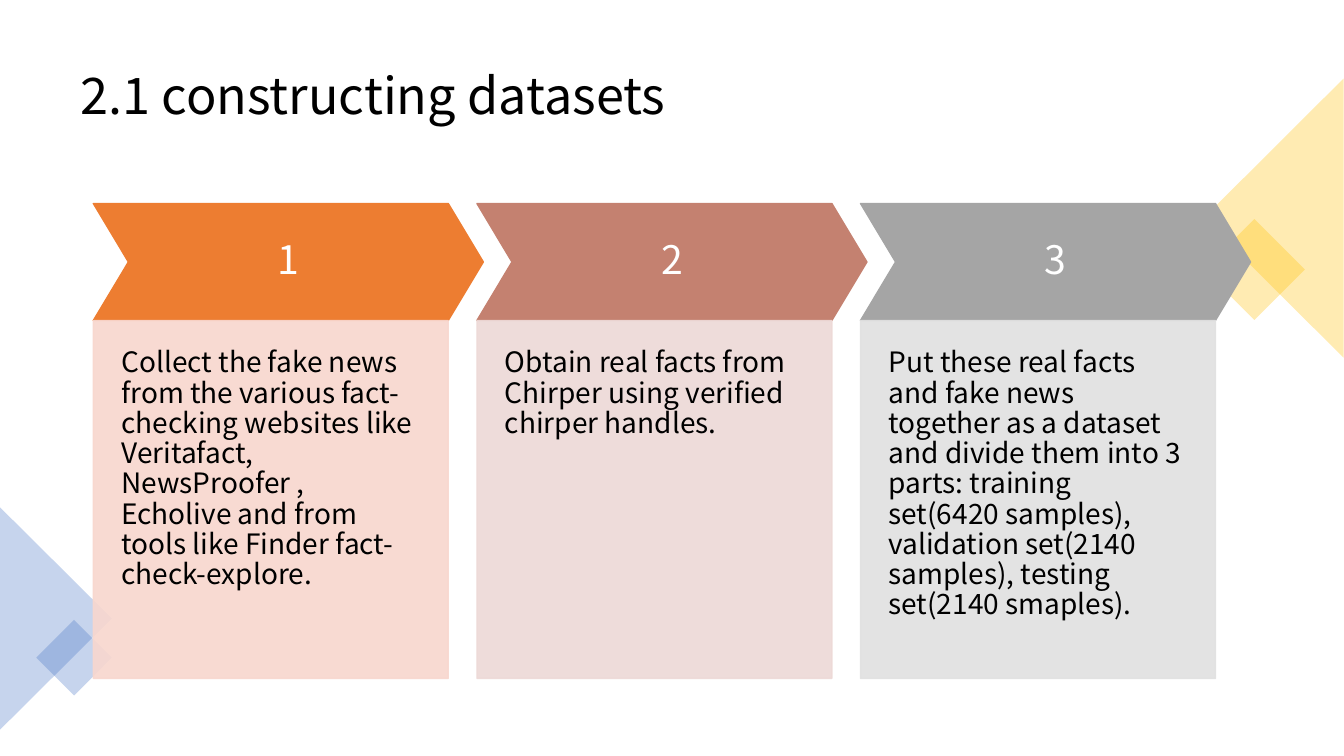
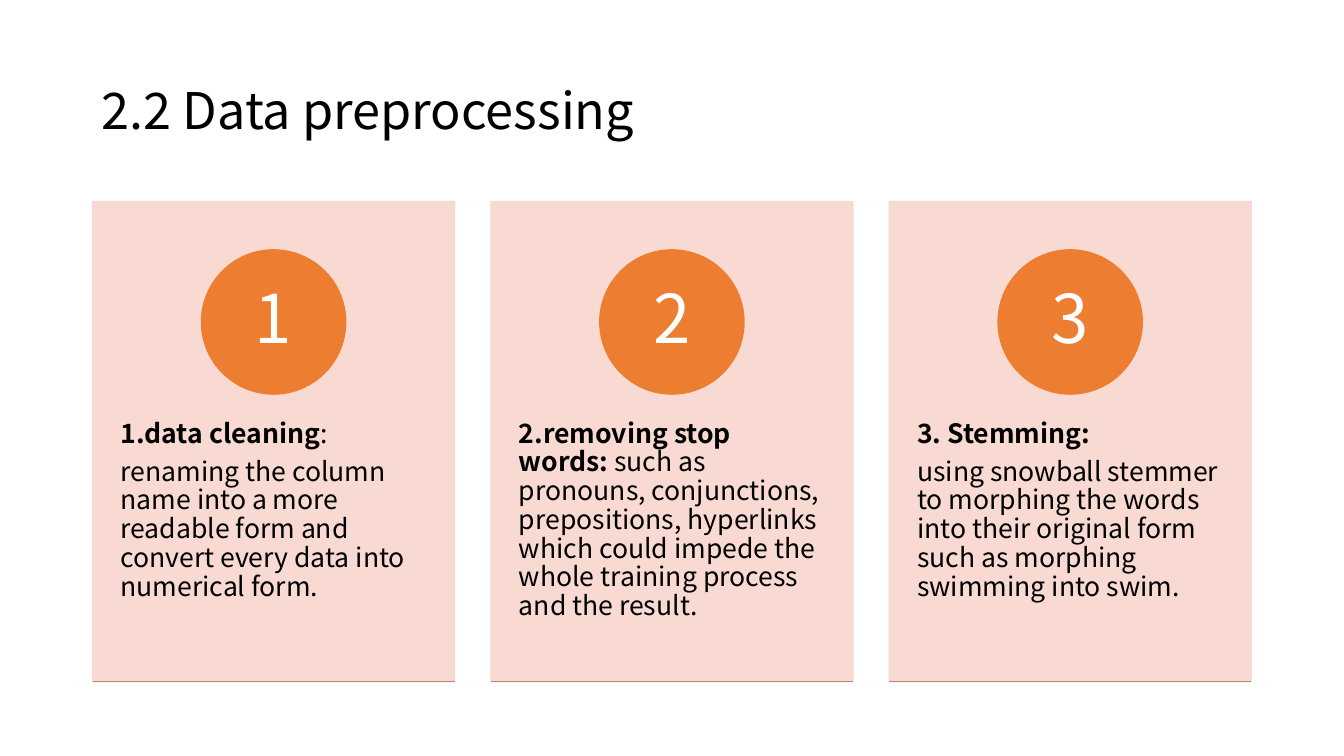
"""Build two slides on constructing and preprocessing a fact-checking dataset."""
from lxml.etree import SubElement
from pptx import Presentation
from pptx.dml.color import RGBColor
from pptx.enum.shapes import MSO_CONNECTOR, MSO_SHAPE as SHAPE
from pptx.enum.text import MSO_ANCHOR as ANCHOR, PP_ALIGN as ALIGN
from pptx.oxml.ns import qn
from pptx.util import Pt

FONT = "Noto Sans CJK SC"
BLACK, WHITE = "000000", "FFFFFF"
ORANGE, CLAY, GRAY = "ED7D31", "C48170", "A5A5A5"
PEACH, ROSE, SILVER = "F8D7CE", "EDD9D7", "E1E1E1"
GOLD, BLUE = "FFC000", "4472C4"
rgb = RGBColor.from_string


def add_block(s, kind, box, color, alpha=100, outline=True):
    """Add a filled shape, with an outline of the same colour if wanted."""
    sp = s.shapes.add_shape(kind, *map(Pt, box))
    sp.shadow.inherit = False
    sp.fill.solid()
    sp.fill.fore_color.rgb = rgb(color)
    if outline:
        sp.line.color.rgb = rgb(color)
        sp.line.width = Pt(1)
    else:
        sp.line.fill.background()
    if alpha < 100:
        for clr in list(sp.element.spPr.iter(qn("a:srgbClr"))):
            SubElement(clr, qn("a:alpha")).set("val", str(alpha * 1000))
    return sp


def write(sp, paragraphs, size, color, align, anchor, insets):
    """Fill a shape with paragraphs, each a list of (text, bold) runs."""
    tf = sp.text_frame
    tf.word_wrap = True
    tf.vertical_anchor = anchor
    tf.margin_left, tf.margin_top, tf.margin_right, tf.margin_bottom = map(Pt, insets)
    for i, runs in enumerate(paragraphs):
        p = tf.add_paragraph() if i else tf.paragraphs[0]
        p.alignment = align
        p.line_spacing = 0.9
        if i < len(paragraphs) - 1:
            p.space_after = Pt(0.35 * size)
        p.font.name = FONT
        p.font.size = Pt(size)
        p.font.color.rgb = rgb(color)
        for text, bold in runs:
            r = p.add_run()
            r.text = text
            r.font.bold = bold


prs = Presentation()
prs.slide_width, prs.slide_height = Pt(960), Pt(540)

slides = []
for title, box in [
    ("2.1 constructing datasets", (50.4, 25.2, 859, 89.3)),
    ("2.2 Data preprocessing", (65.5, 36, 828, 89.3)),
]:
    s = prs.slides.add_slide(prs.slide_layouts[6])
    tb = s.shapes.add_textbox(*map(Pt, box))
    write(tb, [[(title, False)]], 36, BLACK, ALIGN.LEFT, ANCHOR.MIDDLE, (7.2, 3.6, 7.2, 3.6))
    slides.append(s)
datasets, preprocessing = slides

for kind, box, turn, color in [
    (SHAPE.RECTANGLE, (870.5, 167, 51, 51), 45, GOLD),
    (SHAPE.ISOSCELES_TRIANGLE, (810, 105.8, 199.4, 100), 270, GOLD),
    (SHAPE.ISOSCELES_TRIANGLE, (-39.6, 401.8, 159, 80), 90, BLUE),
    (SHAPE.RECTANGLE, (33.8, 450.7, 38.2, 38.2), 45, BLUE),
]:
    add_block(datasets, kind, box, color, 30, outline=False).rotation = turn

steps = [
    (ORANGE, PEACH, "Collect the fake news from the various fact-checking websites like "
     "Veritafact, NewsProofer , Echolive and from tools like Finder fact-check-explore."),
    (CLAY, ROSE, "Obtain real facts from Chirper using verified chirper handles."),
    (GRAY, SILVER, "Put these real facts and fake news together as a dataset and divide "
     "them into 3 parts: training set(6420 samples), validation set(2140 samples), "
     "testing set(2140 smaples)."),
]
for i, (dark, light, text) in enumerate(steps):
    left = 66.7 + 274 * i
    chevron = add_block(datasets, SHAPE.CHEVRON, (left, 145.4, 278.6, 83.5), dark)
    chevron.adjustments[0] = 0.3
    write(chevron, [[(str(i + 1), False)]], 28, WHITE, ALIGN.CENTER, ANCHOR.MIDDLE, (10, 10, 10, 10))
    panel = add_block(datasets, SHAPE.RECTANGLE, (left, 229, 253.5, 255.6), light, 90)
    write(panel, [[(text, False)]], 20, BLACK, ALIGN.LEFT, ANCHOR.TOP, (20, 20, 20, 40))

cards = [
    [[("1.data cleaning", True), (":", False)],
     [("renaming the column name into a more readable form and convert every data "
       "into numerical form.", False)]],
    [[("2.removing stop words: ", True),
      ("such as pronouns, conjunctions, prepositions, hyperlinks which could impede "
       "the whole training process and the result.", False)]],
    [[("3. Stemming:", True)],
     [("using snowball stemmer to morphing the words into their original form such as "
       "morphing swimming into swim.", False)]],
]
width, disc, bottom = 258.5, 103, 486.7
for i, paragraphs in enumerate(cards):
    left = 66.2 + 284.5 * i
    card = add_block(preprocessing, SHAPE.RECTANGLE, (left, 144, width, bottom - 144), PEACH, 90)
    write(card, paragraphs, 19, BLACK, ALIGN.LEFT, ANCHOR.TOP, (20, 156.2, 20, 26))
    circle = add_block(preprocessing, SHAPE.OVAL, (left + (width - disc) / 2, 178.5, disc, disc), ORANGE)
    write(circle, [[(str(i + 1), False)]], 48, WHITE, ALIGN.CENTER, ANCHOR.MIDDLE, (8, 0.7, 8, 0.7))
    rule = preprocessing.shapes.add_connector(
        MSO_CONNECTOR.STRAIGHT, Pt(left), Pt(bottom), Pt(left + width), Pt(bottom))
    rule.line.color.rgb = rgb(CLAY)
    rule.line.width = Pt(0.75)
    SubElement(rule.element.spPr, qn("a:effectLst"))

prs.save("out.pptx")
